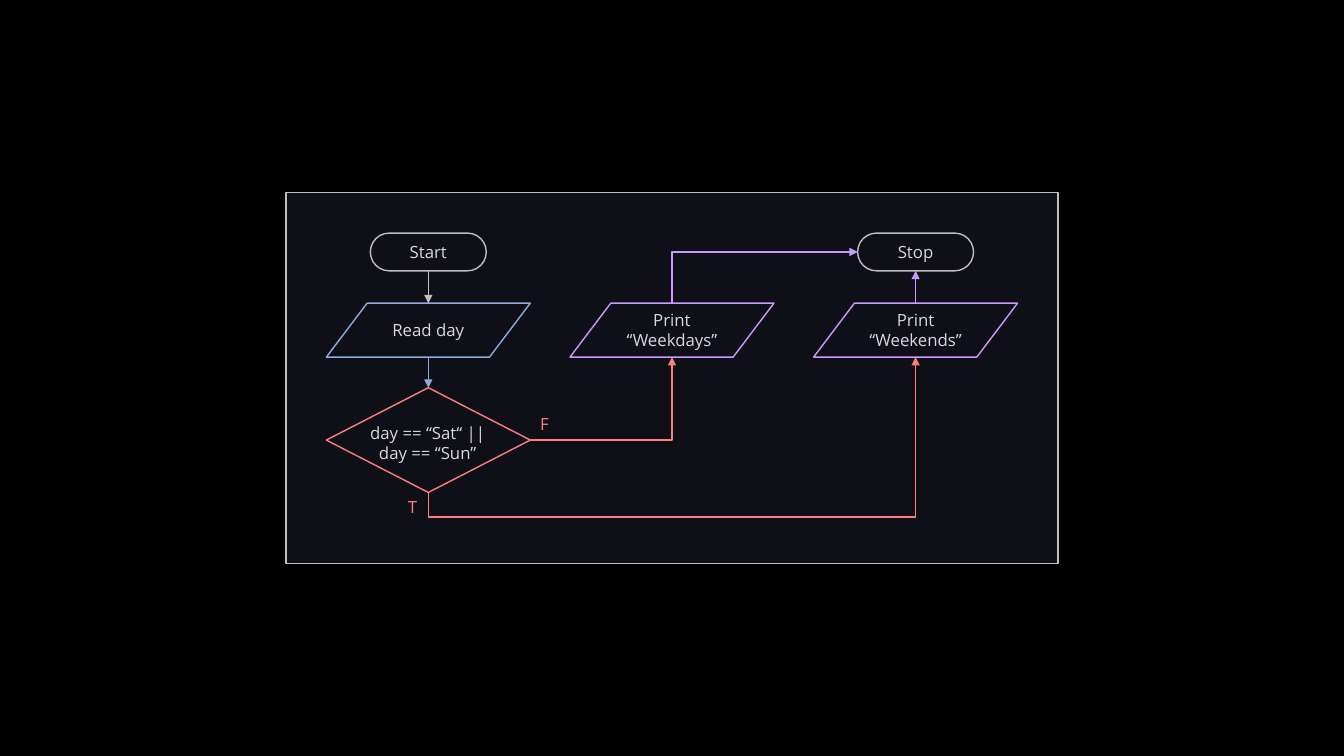
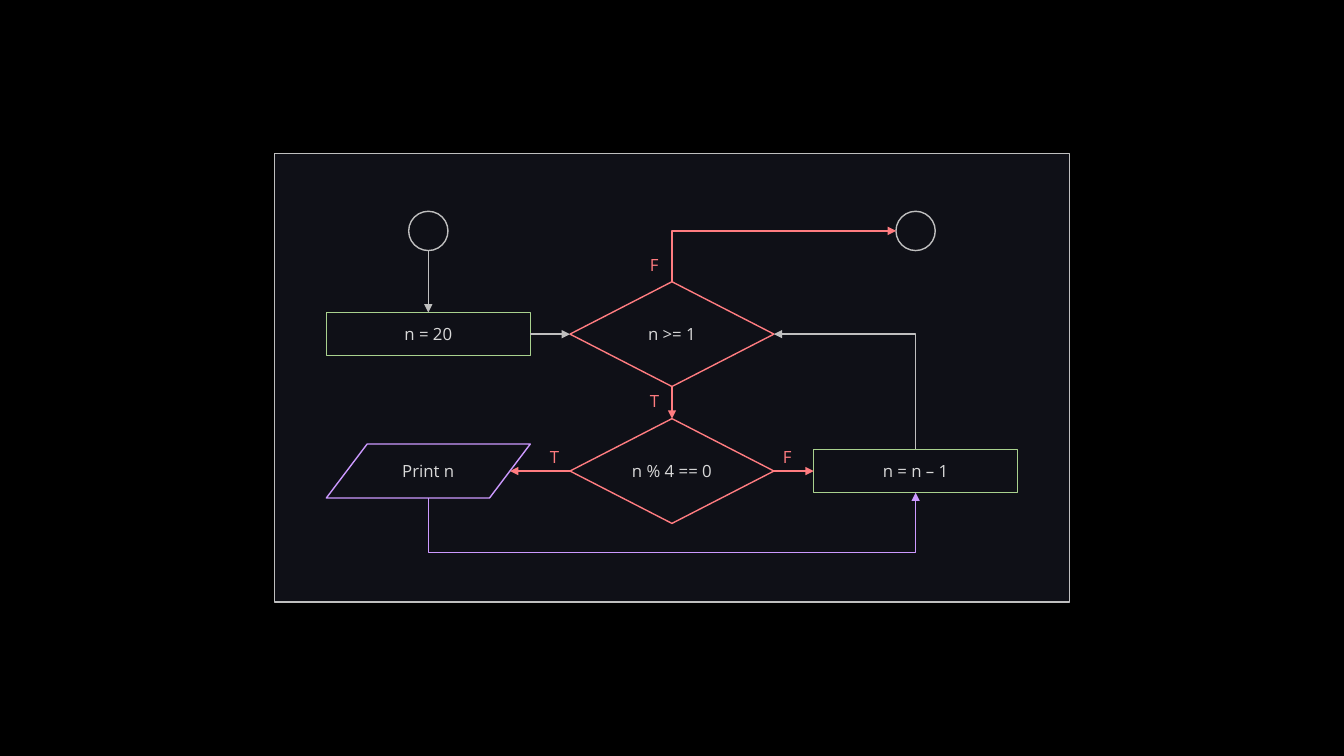
from dataclasses import dataclass
from enum import Enum

from lxml.etree import SubElement
from pptx import Presentation
from pptx.dml.color import RGBColor
from pptx.enum.shapes import MSO_CONNECTOR, MSO_SHAPE
from pptx.enum.text import MSO_ANCHOR, MSO_AUTO_SIZE, PP_ALIGN
from pptx.oxml.ns import qn
from pptx.shapes.autoshape import Shape
from pptx.slide import Slide
from pptx.text.text import TextFrame
from pptx.util import Cm, Pt

BLACK = RGBColor(0x00, 0x00, 0x00)
NIGHT = RGBColor(0x0F, 0x10, 0x17)
GREY = RGBColor(0xBF, 0xBF, 0xBF)
LIGHT = RGBColor(0xD9, 0xD9, 0xD9)
RED = RGBColor(0xFF, 0x7C, 0x80)
PURPLE = RGBColor(0xCC, 0x99, 0xFF)
BLUE = RGBColor(0x8F, 0xAA, 0xDC)
GREEN = RGBColor(0xA9, 0xD1, 0x8E)

SLIDE_WIDTH, SLIDE_HEIGHT = 33.87, 19.05
COLUMN_STEP = 6.14
COLUMNS = [SLIDE_WIDTH / 2 + step * COLUMN_STEP for step in (-1, 0, 1)]
LINE_WIDTH = Pt(1)
FONT_FORMAT = {"name": "Open Sans", "size": Pt(12)}
BRANCH_FORMAT = {"word_wrap": False, "auto_size": MSO_AUTO_SIZE.SHAPE_TO_FIT_TEXT}
NODE_FORMAT = {"word_wrap": True, "vertical_anchor": MSO_ANCHOR.MIDDLE}
CONDITION_FORMAT = {"word_wrap": True, "auto_size": MSO_AUTO_SIZE.SHAPE_TO_FIT_TEXT}


class Side(Enum):
    """Direction from a node's centre to one of its sides."""

    TOP = (0, -1)
    LEFT = (-1, 0)
    BOTTOM = (0, 1)
    RIGHT = (1, 0)


@dataclass(frozen=True)
class Kind:
    """Flowchart symbol with its size and connection sites in Side order."""

    preset: MSO_SHAPE
    width: float
    height: float
    sites: tuple[int, int, int, int] = (0, 1, 2, 3)
    reach: float = 1.0


TERMINAL = Kind(MSO_SHAPE.FLOWCHART_TERMINATOR, 2.92, 0.95)
DATA = Kind(MSO_SHAPE.FLOWCHART_DATA, 5.14, 1.36, (1, 2, 4, 5), 0.8)
DECISION = Kind(MSO_SHAPE.FLOWCHART_DECISION, 5.14, 2.64)
PROCESS = Kind(MSO_SHAPE.RECTANGLE, 5.14, 1.09)
CIRCLE = Kind(MSO_SHAPE.OVAL, 0.99, 0.99, (0, 2, 4, 6))


@dataclass(frozen=True)
class Node:
    """Flowchart step centred on a column."""

    kind: Kind
    column: int
    middle: float
    color: RGBColor
    text: str = ""

    def site(self, side: Side) -> int:
        """Return the connection site index of a side."""
        return self.kind.sites[list(Side).index(side)]

    def point(self, side: Side) -> tuple[float, float]:
        """Return where a connector meets a side."""
        across, down = side.value
        return (COLUMNS[self.column] + across * self.kind.reach * self.kind.width / 2,
                self.middle + down * self.kind.height / 2)


@dataclass(frozen=True)
class Flow:
    """Arrow between two nodes, with a drop when it runs below both."""

    source: str
    leaving: Side
    target: str
    entering: Side
    color: RGBColor
    drop: float = 0.0


@dataclass(frozen=True)
class Branch:
    """Truth label beside a decision."""

    text: str
    left: float
    top: float


@dataclass(frozen=True)
class Condition:
    """Text of several lines laid over a decision."""

    lines: tuple[str, ...]
    left: float
    top: float
    width: float
    height: float


@dataclass(frozen=True)
class Flowchart:
    """Content of one slide."""

    width: float
    height: float
    nodes: dict[str, Node]
    flows: list[Flow]
    branches: list[Branch]
    conditions: tuple[Condition, ...] = ()


WEEKDAY_CHART = Flowchart(
    19.46, 9.35,
    {
        "start": Node(TERMINAL, 0, 6.35, GREY, "Start"),
        "stop": Node(TERMINAL, 2, 6.35, GREY, "Stop"),
        "read": Node(DATA, 0, 8.32, BLUE, "Read day"),
        "weekdays": Node(DATA, 1, 8.32, PURPLE, "Print “Weekdays”"),
        "weekends": Node(DATA, 2, 8.32, PURPLE, "Print “Weekends”"),
        "weekend?": Node(DECISION, 0, 11.09, RED),
    },
    [
        Flow("start", Side.BOTTOM, "read", Side.TOP, GREY),
        Flow("read", Side.BOTTOM, "weekend?", Side.TOP, BLUE),
        Flow("weekend?", Side.RIGHT, "weekdays", Side.BOTTOM, RED),
        Flow("weekend?", Side.BOTTOM, "weekends", Side.BOTTOM, RED, 0.62),
        Flow("weekdays", Side.TOP, "stop", Side.LEFT, PURPLE),
        Flow("weekends", Side.TOP, "stop", Side.BOTTOM, PURPLE),
    ],
    [Branch("F", 13.36, 10.31), Branch("T", 10.03, 12.4)],
    (Condition(("day == “Sat“ ||", "day == “Sun”"), 8.9, 10.52, 3.76, 1.27),),
)

COUNTDOWN_CHART = Flowchart(
    20.04, 11.3,
    {
        "begin": Node(CIRCLE, 0, 5.82, GREY),
        "end": Node(CIRCLE, 2, 5.82, GREY),
        "set": Node(PROCESS, 0, 8.42, GREEN, "n = 20"),
        "positive?": Node(DECISION, 1, 8.42, RED, "n >= 1"),
        "print": Node(DATA, 0, 11.87, PURPLE, "Print n"),
        "multiple?": Node(DECISION, 1, 11.87, RED, "n % 4 == 0"),
        "decrease": Node(PROCESS, 2, 11.87, GREEN, "n = n – 1"),
    },
    [
        Flow("begin", Side.BOTTOM, "set", Side.TOP, GREY),
        Flow("set", Side.RIGHT, "positive?", Side.LEFT, GREY),
        Flow("positive?", Side.BOTTOM, "multiple?", Side.TOP, RED),
        Flow("multiple?", Side.LEFT, "print", Side.RIGHT, RED),
        Flow("multiple?", Side.RIGHT, "decrease", Side.LEFT, RED),
        Flow("print", Side.BOTTOM, "decrease", Side.BOTTOM, PURPLE, 1.37),
        Flow("decrease", Side.TOP, "positive?", Side.RIGHT, GREY),
        Flow("positive?", Side.TOP, "end", Side.LEFT, RED),
    ],
    [Branch("F", 16.13, 6.3), Branch("T", 16.13, 9.73),
     Branch("T", 13.61, 11.13), Branch("F", 19.48, 11.13)],
)


def apply_format(target: object, values: dict[str, object]) -> None:
    """Set each named attribute of the target."""
    for attribute, value in values.items():
        setattr(target, attribute, value)


def write_lines(frame: TextFrame, lines: tuple[str, ...], color: RGBColor,
                alignment: PP_ALIGN, frame_format: dict[str, object]) -> None:
    """Fill a text frame with one paragraph per line."""
    apply_format(frame, frame_format)
    for index, line in enumerate(lines):
        paragraph = frame.add_paragraph() if index else frame.paragraphs[0]
        paragraph.alignment = alignment
        run = paragraph.add_run()
        run.text = line
        apply_format(run.font, FONT_FORMAT)
        run.font.color.rgb = color


def draw_outline(slide: Slide, preset: MSO_SHAPE, center: tuple[float, float],
                 width: float, height: float, color: RGBColor) -> Shape:
    """Draw an unfilled shape around its centre."""
    outline = slide.shapes.add_shape(
        preset, Cm(center[0] - width / 2), Cm(center[1] - height / 2), Cm(width), Cm(height))
    outline.shadow.inherit = False
    outline.fill.background()
    apply_format(outline.line, {"width": LINE_WIDTH})
    outline.line.color.rgb = color
    return outline


def draw_node(slide: Slide, node: Node) -> Shape:
    """Draw one flowchart step."""
    symbol = draw_outline(slide, node.kind.preset, (COLUMNS[node.column], node.middle),
                          node.kind.width, node.kind.height, node.color)
    if node.text:
        write_lines(symbol.text_frame, (node.text,), LIGHT, PP_ALIGN.CENTER, NODE_FORMAT)
    return symbol


def draw_flow(slide: Slide, flow: Flow, nodes: dict[str, Node],
              symbols: dict[str, Shape]) -> None:
    """Draw a glued arrow, straight or bent, between two nodes."""
    source, target = nodes[flow.source], nodes[flow.target]
    (x1, y1), (x2, y2) = source.point(flow.leaving), target.point(flow.entering)
    across, down = x2 - x1, y2 - y1
    bent = min(abs(across), abs(down)) > 0.01
    turned = bent and flow.leaving in (Side.TOP, Side.BOTTOM)
    if turned:
        middle_x, middle_y = (x1 + x2) / 2, (y1 + y2) / 2
        x1, x2 = middle_x - down / 2, middle_x + down / 2
        y1, y2 = middle_y + across / 2, middle_y - across / 2
    arrow = slide.shapes.add_connector(
        MSO_CONNECTOR.ELBOW if bent else MSO_CONNECTOR.STRAIGHT, Cm(x1), Cm(y1), Cm(x2), Cm(y2))
    arrow.line.color.rgb = flow.color
    arrow.line.width = LINE_WIDTH
    properties = arrow._element.spPr
    if turned:
        properties.find(qn("a:xfrm")).set("rot", "5400000")
    geometry = properties.find(qn("a:prstGeom"))
    if flow.drop:
        SubElement(geometry.find(qn("a:avLst")), qn("a:gd"), name="adj1",
                   fmla=f"val {round(flow.drop / down * 100000)}")
    elif bent:
        geometry.set("prst", "bentConnector2")
    SubElement(properties.find(qn("a:ln")), qn("a:tailEnd"), type="triangle")
    SubElement(properties, qn("a:effectLst"))
    glue = next(arrow._element.iter(qn("p:cNvCxnSpPr")))
    for tag, key, site in (("p:stCxn", flow.source, source.site(flow.leaving)),
                           ("p:endCxn", flow.target, target.site(flow.entering))):
        SubElement(glue, qn(tag.replace("p:", "a:")), id=str(symbols[key].shape_id), idx=str(site))


def draw_flowchart(slide: Slide, chart: Flowchart) -> None:
    """Draw the panel, the steps, the arrows and the labels."""
    panel = draw_outline(slide, MSO_SHAPE.RECTANGLE, (SLIDE_WIDTH / 2, SLIDE_HEIGHT / 2),
                         chart.width, chart.height, GREY)
    panel.fill.solid()
    panel.fill.fore_color.rgb = NIGHT
    symbols = {key: draw_node(slide, node) for key, node in chart.nodes.items()}
    for flow in chart.flows:
        draw_flow(slide, flow, chart.nodes, symbols)
    for branch in chart.branches:
        label = slide.shapes.add_textbox(Cm(branch.left), Cm(branch.top), Cm(0.74), Cm(0.76))
        write_lines(label.text_frame, (branch.text,), RED, PP_ALIGN.LEFT, BRANCH_FORMAT)
    for condition in chart.conditions:
        caption = slide.shapes.add_textbox(Cm(condition.left), Cm(condition.top),
                                           Cm(condition.width), Cm(condition.height))
        write_lines(caption.text_frame, condition.lines, LIGHT, PP_ALIGN.CENTER, CONDITION_FORMAT)


def main() -> None:
    """Build and save the presentation."""
    presentation = Presentation()
    apply_format(presentation, {"slide_width": Cm(SLIDE_WIDTH), "slide_height": Cm(SLIDE_HEIGHT)})
    backdrop = presentation.slide_master.background.fill
    backdrop.solid()
    backdrop.fore_color.rgb = BLACK
    for chart in (WEEKDAY_CHART, COUNTDOWN_CHART):
        draw_flowchart(presentation.slides.add_slide(presentation.slide_layouts[6]), chart)
    presentation.save("out.pptx")


if __name__ == "__main__":
    main()
